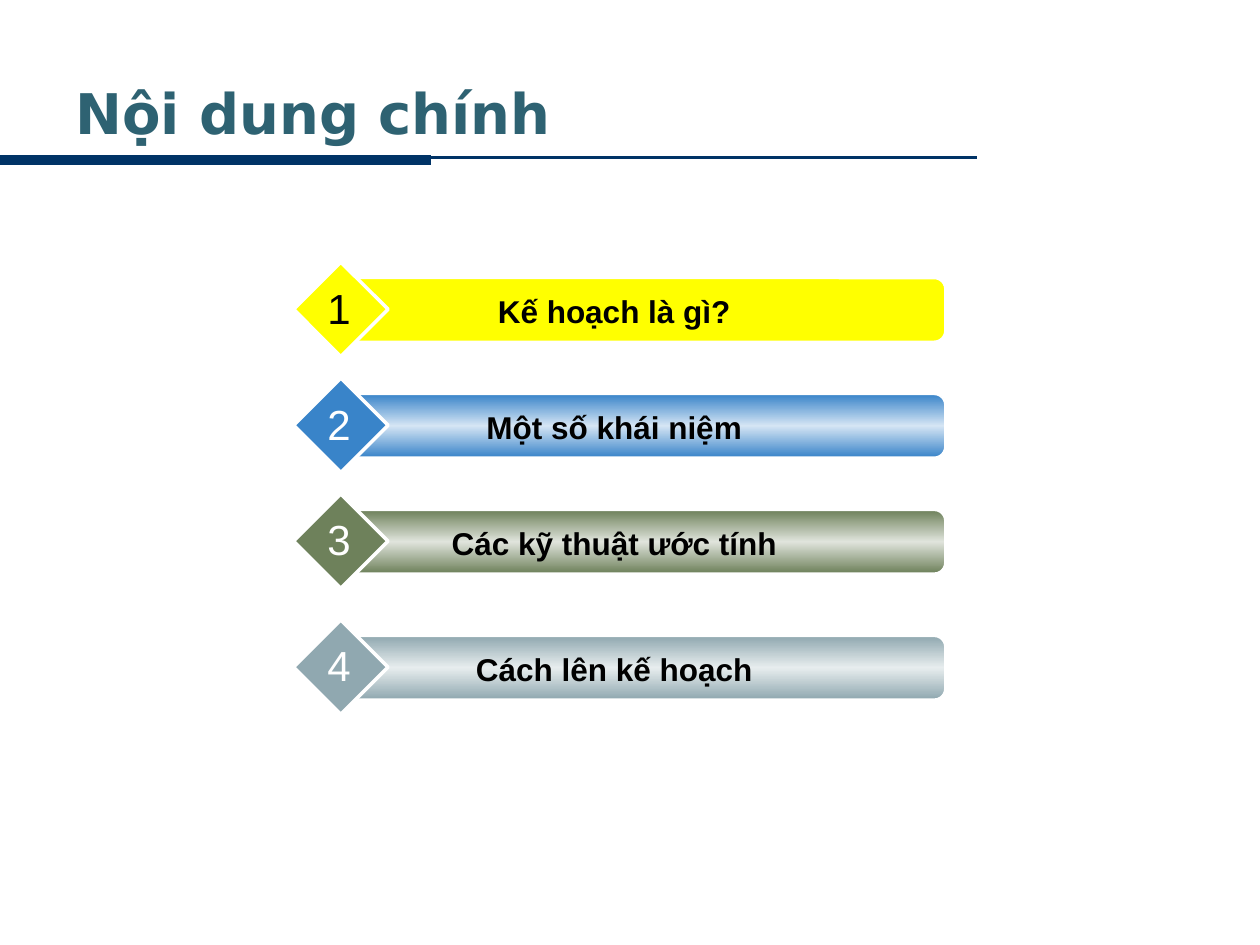
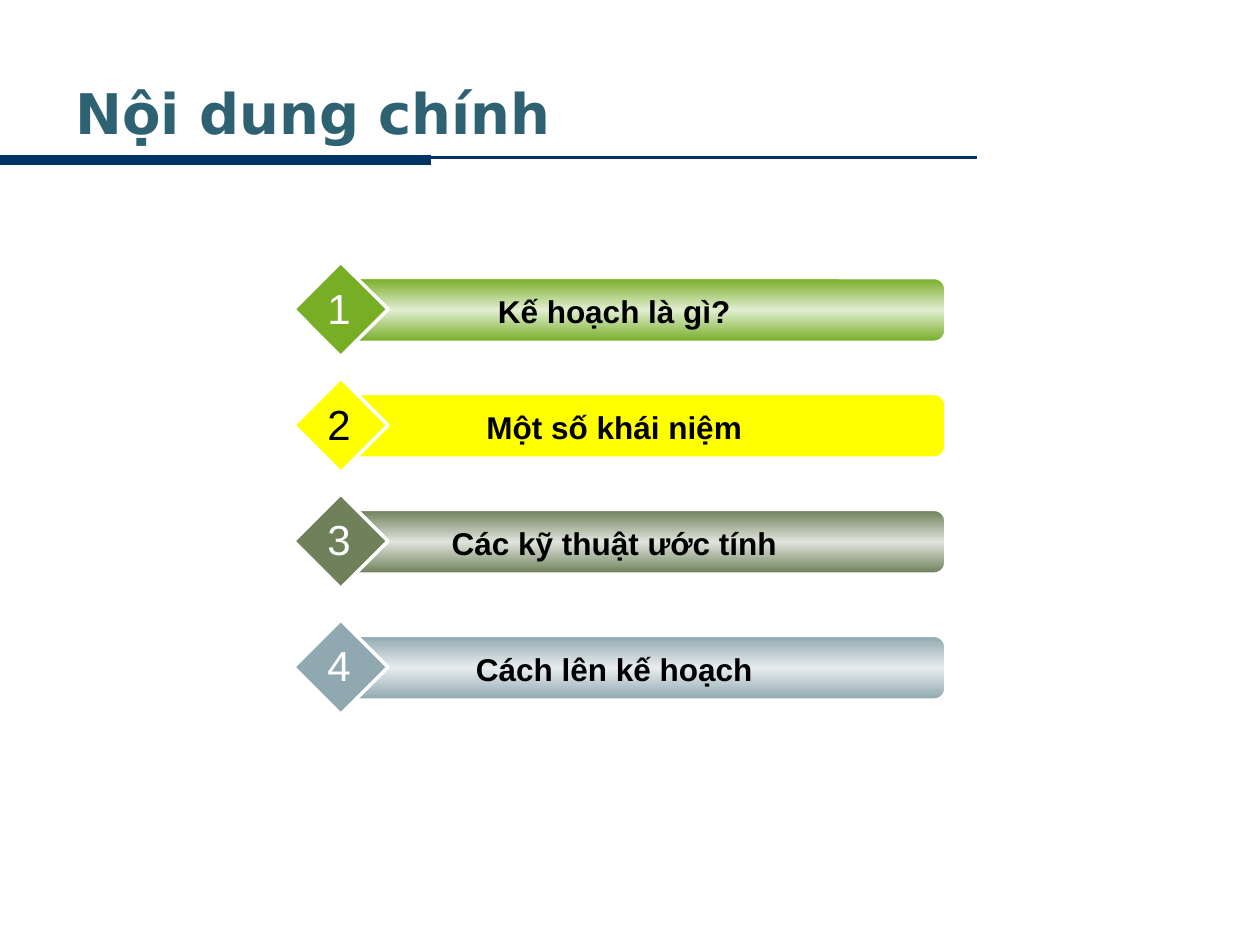
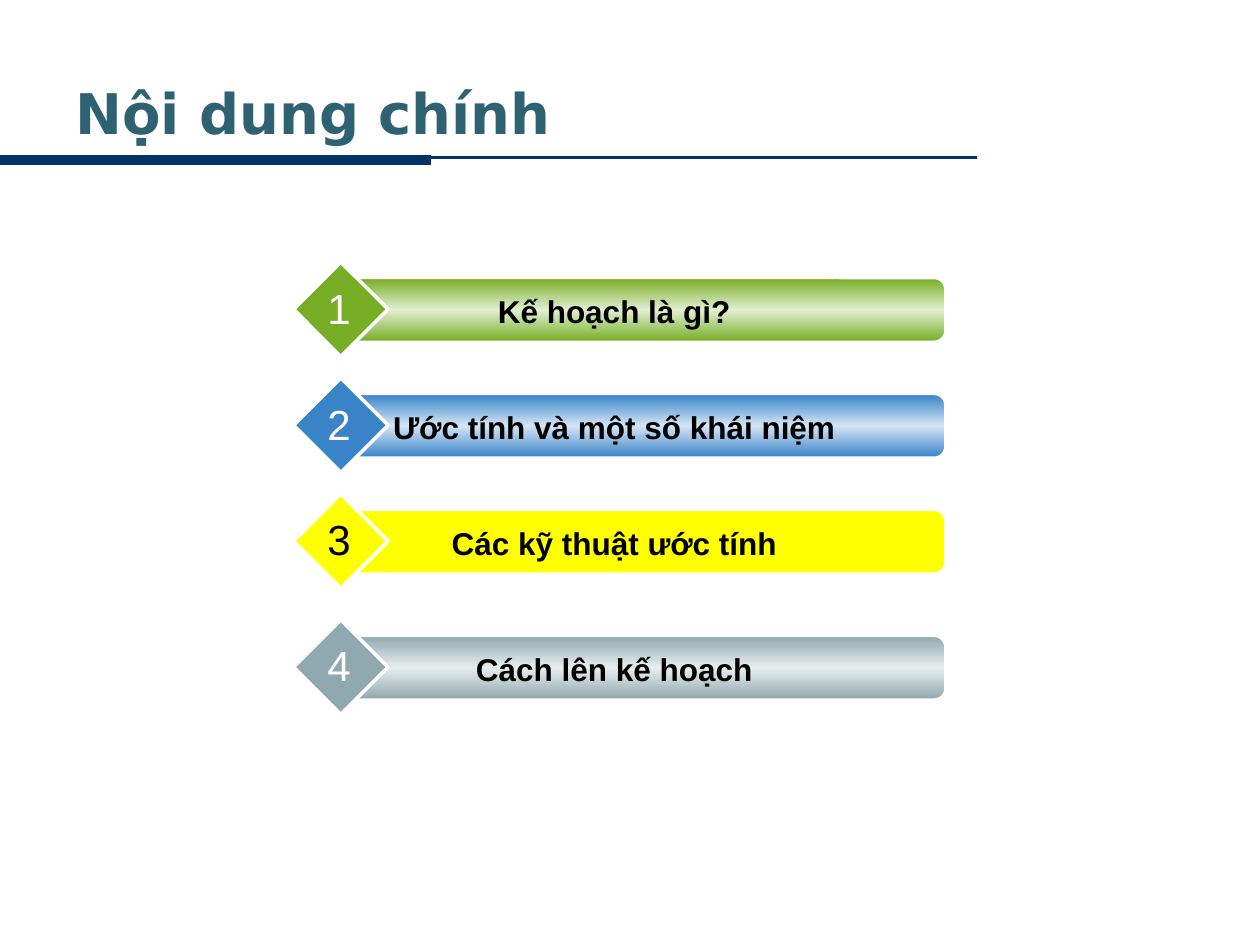
import copy

import pptx
import pptx.dml.color
import pptx.enum.dml
import pptx.enum.shapes
import pptx.enum.text
import pptx.oxml.ns
import pptx.util
from pptx.util import Inches

SHAPE = pptx.enum.shapes.MSO_SHAPE
ALIGN = pptx.enum.text.PP_ALIGN
ANCHOR = pptx.enum.text.MSO_ANCHOR
AUTO_SIZE = pptx.enum.text.MSO_AUTO_SIZE
qn = pptx.oxml.ns.qn

NAVY, TEAL, WHITE, BLACK, YELLOW = "003366", "2E6272", "FFFFFF", "000000", "FFFF00"

FORMATS = {
    "title": {"name": "DejaVu Sans", "size": pptx.util.Pt(32), "bold": True},
    "topic": {"name": "Arial", "size": pptx.util.Pt(18), "bold": True},
    "number": {"name": "Arial", "size": pptx.util.Pt(24), "bold": False},
}

TITLE = "Nội dung chính"
ROW_TOPS = [2.08, 3, 3.92, 4.92]
ROW_COLORS = [
    ("77AE26", "E2EED1"),
    ("3984C9", "D5E5F4"),
    ("6E815B", "E0E4DC"),
    ("90A8B0", "E7EDEE"),
]
TOPICS = ["Kế hoạch là gì?", "Một số khái niệm", "Các kỹ thuật ước tính", "Cách lên kế hoạch"]
ESTIMATE_TOPICS = [TOPICS[0], "Ước tính và một số khái niệm", *TOPICS[2:]]


def rgb(value):
    return pptx.dml.color.RGBColor.from_string(value)


class AgendaDeck:
    """Holds the deck, and the shape collection that new elements go to."""

    def __init__(self):
        self.deck = pptx.Presentation()
        self.deck.slide_width, self.deck.slide_height = Inches(10), Inches(7.5)
        self.page = self.shapes = None

    def add_page(self):
        self.page = self.deck.slides.add_slide(self.deck.slide_layouts[6])
        self.shapes = self.page.shapes
        background = self.page.background.fill
        background.solid()
        background.fore_color.rgb = rgb(WHITE)

    def rule(self, start, end, y, weight):
        line = self.shapes.add_connector(
            pptx.enum.shapes.MSO_CONNECTOR.STRAIGHT, Inches(start), Inches(y), Inches(end), Inches(y)
        )
        line.line.color.rgb = rgb(NAVY)
        line.line.width = pptx.util.Pt(weight)
        properties = line._element.spPr
        properties.append(properties.makeelement(qn("a:effectLst"), {}))

    def text(self, words, area, style, color, paragraph_format, frame_format):
        box = self.shapes.add_textbox(*map(Inches, area))
        frame = box.text_frame
        para = frame.paragraphs[0]
        span = para.add_run()
        span.text = words
        span.font.color.rgb = rgb(color)
        for target, values in (
            (frame, frame_format), (para, paragraph_format), (span.font, FORMATS[style])
        ):
            for name, value in values.items():
                setattr(target, name, value)

    def outlined_shape(self, kind, area, line_width):
        shape = self.shapes.add_shape(kind, *map(Inches, area))
        shape.shadow.inherit = False
        shape.line.color.rgb = rgb(WHITE)
        shape.line.width = pptx.util.Pt(line_width)
        return shape

    def fill_solid(self, shape, color):
        shape.fill.solid()
        shape.fill.fore_color.rgb = rgb(color)

    def fill_glow(self, shape, edge, middle):
        """Fill from top to bottom with a lighter band in the middle."""
        shape.fill.gradient()
        shape.fill.gradient_angle = 270
        stop_list = shape._element.spPr.find(qn("a:gradFill")).find(qn("a:gsLst"))
        stop_list.append(copy.deepcopy(stop_list[0]))
        for stop, position, color in zip(shape.fill.gradient_stops, (0, 0.5, 1), (edge, middle, edge)):
            stop.position = position
            stop.color.rgb = rgb(color)

    def heading(self):
        self.rule(7.75, 0, 1.25, 1.5)
        self.rule(0, 3.42, 1.27, 6)
        self.text(TITLE, (0.5, 0.58, 8.42, 0.62), "title", TEAL, {"alignment": ALIGN.LEFT},
                  {"word_wrap": True, "vertical_anchor": ANCHOR.MIDDLE})

    def agenda_row(self, number, topic, top, colors, active):
        self.shapes = self.page.shapes.add_group_shape().shapes
        bar = self.outlined_shape(SHAPE.ROUNDED_RECTANGLE, (2.75, top + 0.13, 4.75, 0.5), 1)
        bar.adjustments[0] = 0.17
        diamond = self.outlined_shape(SHAPE.DIAMOND, (2.33, top, 0.75, 0.75), 2)
        if active:
            self.fill_solid(bar, YELLOW)
        else:
            self.fill_glow(bar, *colors)
        self.fill_solid(diamond, YELLOW if active else colors[0])
        centered = {"alignment": ALIGN.CENTER}
        growing = {"auto_size": AUTO_SIZE.SHAPE_TO_FIT_TEXT}
        self.text(topic, (3, top + 0.19, 3.75, 0.4), "topic", BLACK, centered,
                  {**growing, "word_wrap": True})
        self.text(str(number), (2.5, top + 0.11, 0.38, 0.5), "number",
                  BLACK if active else WHITE, centered, {**growing, "word_wrap": False})

    def agenda_page(self, topics, active_number):
        self.add_page()
        self.heading()
        for number, (topic, top, colors) in enumerate(zip(topics, ROW_TOPS, ROW_COLORS), 1):
            self.agenda_row(number, topic, top, colors, number == active_number)


def main():
    agenda = AgendaDeck()
    for active_number, topics in enumerate((TOPICS, TOPICS, ESTIMATE_TOPICS), 1):
        agenda.agenda_page(topics, active_number)
    agenda.deck.save("out.pptx")


if __name__ == "__main__":
    main()
